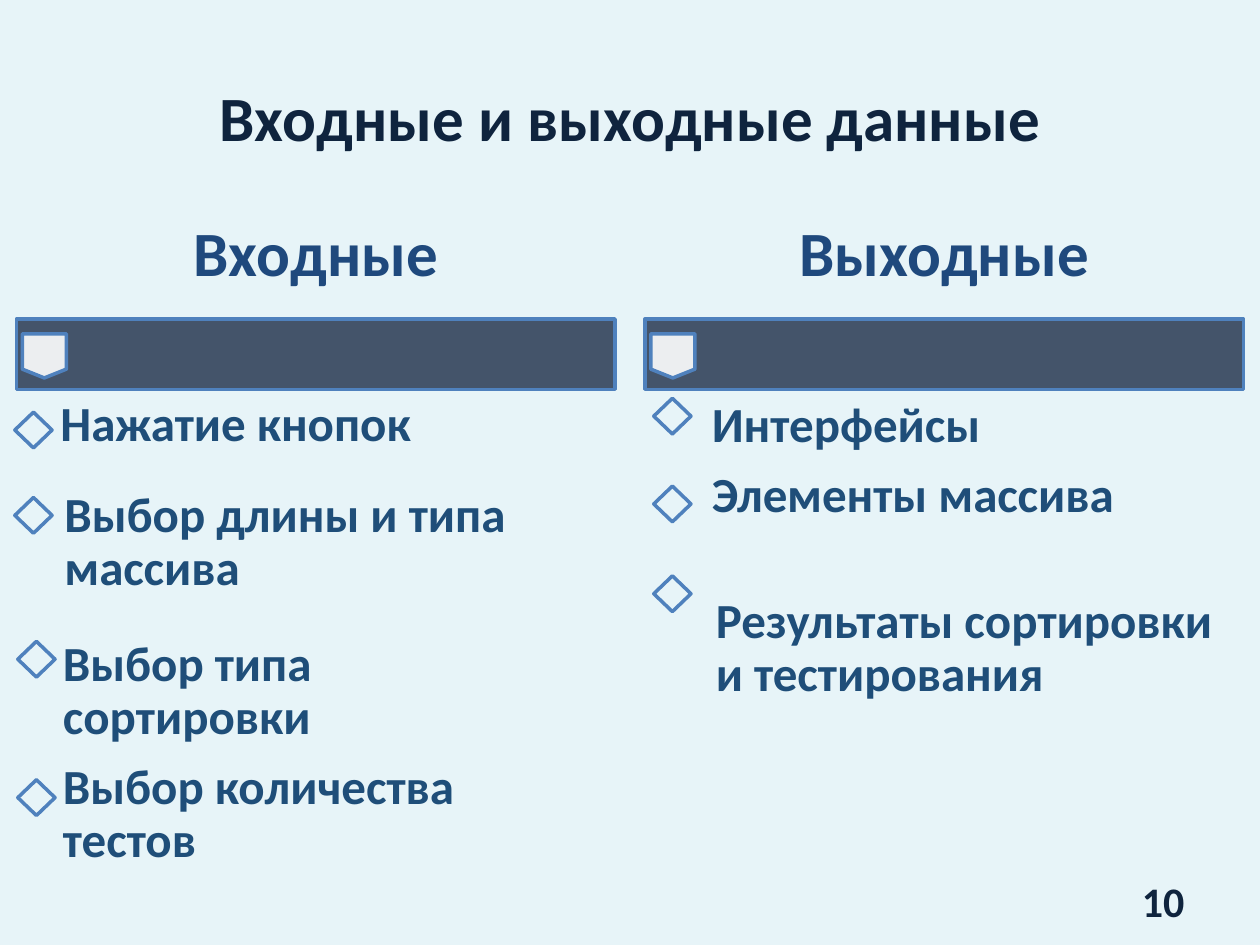
from lxml import etree
from pptx import Presentation
from pptx.dml.color import RGBColor
from pptx.enum.shapes import MSO_SHAPE
from pptx.enum.text import MSO_ANCHOR, MSO_AUTO_SIZE, PP_ALIGN
from pptx.oxml.ns import qn
from pptx.util import Cm, Pt

BAR = MSO_SHAPE.RECTANGLE
TAB = MSO_SHAPE.FLOWCHART_OFFPAGE_CONNECTOR
DIAMOND = MSO_SHAPE.DIAMOND
MIDDLE = MSO_ANCHOR.MIDDLE
NO_AUTOFIT = MSO_AUTO_SIZE.NONE
LEFT, CENTER, RIGHT = PP_ALIGN.LEFT, PP_ALIGN.CENTER, PP_ALIGN.RIGHT

FONT = "Calibri"
TITLE_ONLY = 5
COLORS = {
    "background": "E7F4F8",
    "title": "0F243E",
    "heading": "1F497D",
    "item": "1F4E79",
    "bar": "44546A",
    "tab": "FFFFFF",
    "outline": "4F81BD",
}

# Lengths in cm; each item block is (left, top, width, height, paragraphs).
COLUMNS = [
    {
        "heading": "Входные",
        "left": 0.33,
        "markers": [(0.3, 8.31), (0.3, 10.03), (0.36, 12.93), (0.36, 15.72)],
        "items": [
            (0.66, 7.54, 11.23, 2.06, ["Нажатие кнопок"]),
            (0.74, 8.99, 11.23, 3.91, ["Выбор длины и типа массива"]),
            (0.71, 13.51, 11.23, 3.35,
             ["Выбор типа сортировки", "Выбор количества тестов"]),
        ],
    },
    {
        "heading": "Выходные",
        "left": 13.0,
        "markers": [(13.18, 8.03), (13.18, 9.8), (13.18, 11.61)],
        "items": [
            (13.79, 7.49, 11.23, 3.63, ["Интерфейсы", "Элементы массива"]),
            (13.87, 10.24, 11.23, 5.69, ["Результаты сортировки и тестирования"]),
        ],
    },
]


def rgb(name):
    return RGBColor.from_string(COLORS[name])


def write_text(frame, paragraphs, *, size, color, align=LEFT,
               margins=(0.25, 0.13), spacing=None, after=None):
    """Fill a frame with paragraphs; margins are (horizontal, vertical) in cm."""
    frame.word_wrap = True
    frame.auto_size = NO_AUTOFIT
    frame.vertical_anchor = MIDDLE
    frame.margin_left = frame.margin_right = Cm(margins[0])
    frame.margin_top = frame.margin_bottom = Cm(margins[1])
    for index, text in enumerate(paragraphs):
        paragraph = frame.add_paragraph() if index else frame.paragraphs[0]
        paragraph.alignment = align
        paragraph.line_spacing = spacing
        paragraph.space_after = after
        run = paragraph.add_run()
        run.text = text
        run.font.name = FONT
        run.font.size = Pt(size)
        run.font.bold = True
        run.font.color.rgb = rgb(color)


def add_text(slide, box, paragraphs, **text_format):
    textbox = slide.shapes.add_textbox(*map(Cm, box))
    write_text(textbox.text_frame, paragraphs, **text_format)


def add_outlined(slide, kind, box, fill=None, opacity=None):
    shape = slide.shapes.add_shape(kind, *map(Cm, box))
    shape.shadow.inherit = False
    shape.line.color.rgb = rgb("outline")
    shape.line.width = Pt(2)
    if fill is None:
        shape.fill.background()
        return
    shape.fill.solid()
    shape.fill.fore_color.rgb = rgb(fill)
    if opacity is not None:
        color = shape.element.spPr.find(qn("a:solidFill")).find(qn("a:srgbClr"))
        etree.SubElement(color, qn("a:alpha"), val=str(opacity * 1000))


def add_title(slide, text):
    title = slide.shapes.title
    title.left, title.top = Cm(1.27), Cm(0.76)
    title.width, title.height = Cm(22.86), Cm(3.18)
    write_text(title.text_frame, [text], size=36, color="title", align=CENTER)


def add_column(slide, column):
    left = column["left"]
    add_outlined(slide, BAR, (left, 6.43, 12.07, 1.42), "bar")
    add_outlined(slide, TAB, (left + 0.12, 6.73, 0.89, 0.89), "tab", opacity=90)
    add_text(slide, (left, 3.89, 12.07, 2.54), [column["heading"]], size=36,
             color="heading", align=CENTER, margins=(0.18, 0.13),
             spacing=0.9, after=Pt(12.6))
    for marker in column["markers"]:
        add_outlined(slide, DIAMOND, (*marker, 0.75, 0.72))
    for *box, paragraphs in column["items"]:
        add_text(slide, box, paragraphs, size=28, color="item",
                 margins=(0.56, 0.56), spacing=0.9, after=Pt(9.8))


def main():
    presentation = Presentation()
    presentation.slide_width, presentation.slide_height = Cm(25.4), Cm(19.05)
    slide = presentation.slides.add_slide(presentation.slide_layouts[TITLE_ONLY])
    slide.background.fill.solid()
    slide.background.fill.fore_color.rgb = rgb("background")
    add_title(slide, "Входные и выходные данные")
    for column in COLUMNS:
        add_column(slide, column)
    add_text(slide, (18.21, 17.65, 5.92, 1.02), ["10"], size=24,
             color="title", align=RIGHT)
    presentation.save("out.pptx")


if __name__ == "__main__":
    main()
